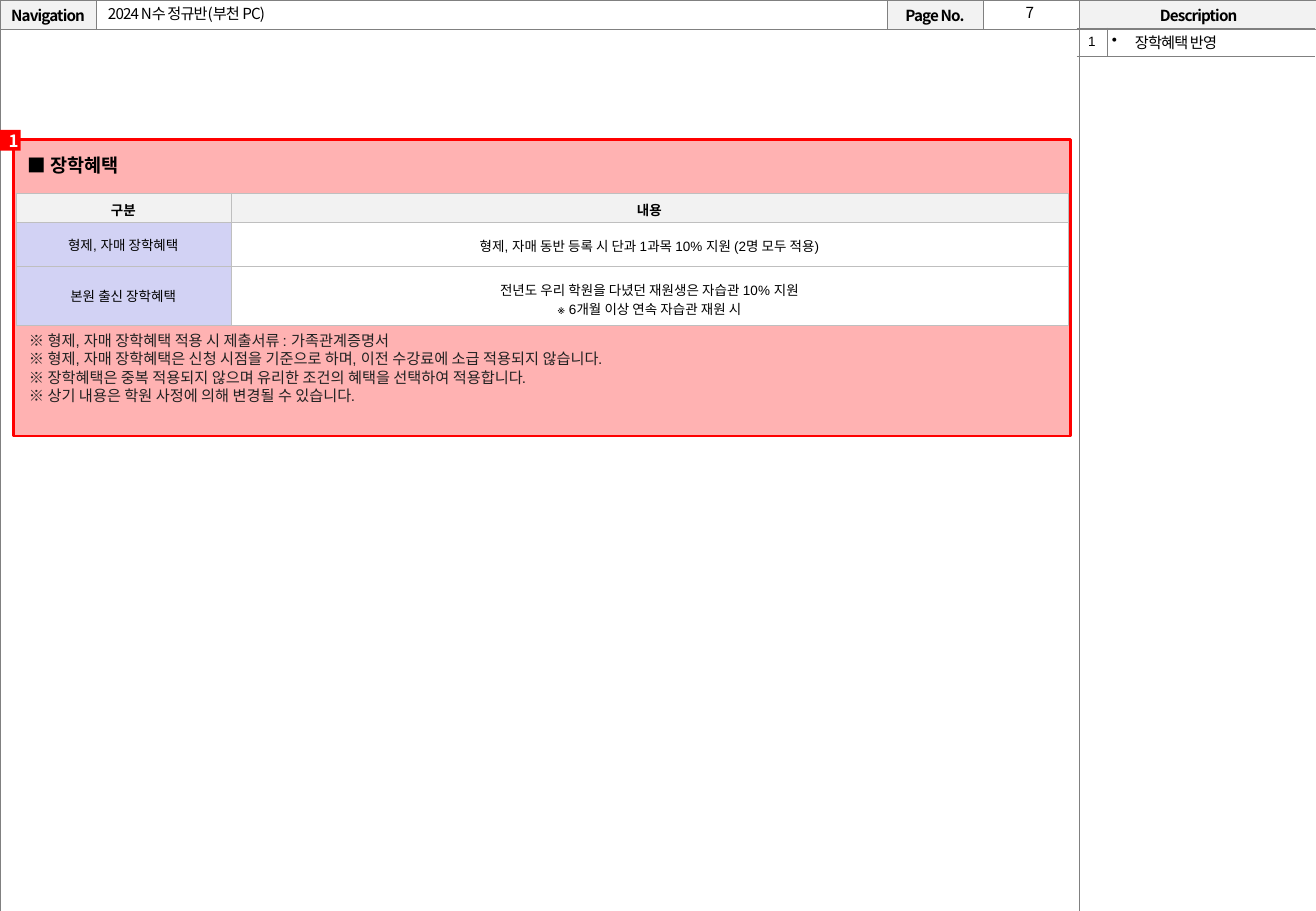
from lxml import etree
from pptx import Presentation
from pptx import util as u
from pptx.dml import color
from pptx.enum import shapes, text
from pptx.oxml import ns

CJK = "Noto Sans CJK KR"
GRAY, PALE, WHITE, RED = "808080", "F2F2F2", "FFFFFF", "FF0000"
CENTER = text.PP_ALIGN.CENTER
MIDDLE, TOP = text.MSO_ANCHOR.MIDDLE, text.MSO_ANCHOR.TOP
STANDARD = (0.1, 0.05, 0.1, 0.05)


def rgb(value):
    return color.RGBColor.from_string(value)


def add_element(parent, tag, **attributes):
    return etree.SubElement(parent, ns.qn(tag), **attributes)


def write(frame, content, size=9, font="Arial", ink="000000", bold=False, align=None,
          tracking=0, line_spacing=None, bullet=None):
    for index, line in enumerate(content.split("\n")):
        paragraph = frame.add_paragraph() if index else frame.paragraphs[0]
        paragraph.alignment = align
        if line_spacing:
            paragraph.line_spacing = line_spacing
        if bullet:
            properties = paragraph._p.get_or_add_pPr()
            properties.set("marL", str(u.Inches(0.19)))
            properties.set("indent", str(u.Inches(-0.19)))
            add_element(properties, "a:buChar", char=bullet)
        if not line:
            add_element(paragraph._p, "a:endParaRPr", sz=str(size * 100))
            continue
        run = paragraph.add_run()
        run.text = line
        run.font.size = u.Pt(size)
        run.font.name = font
        run.font.bold = bold
        run.font.color.rgb = rgb(ink)
        run_properties = run._r.get_or_add_rPr()
        add_element(run_properties, "a:ea", typeface=CJK)
        if tracking:
            run_properties.set("spc", str(int(tracking * 100)))


def set_margins(target, margins):
    (target.margin_left, target.margin_top,
     target.margin_right, target.margin_bottom) = map(u.Inches, margins)


def add_text(slide, box, content, anchor=TOP, **style):
    frame = slide.shapes.add_textbox(*map(u.Inches, box)).text_frame
    frame.word_wrap = True
    frame.vertical_anchor = anchor
    set_margins(frame, STANDARD)
    write(frame, content, **style)


def add_rectangle(slide, box, fill):
    shape = slide.shapes.add_shape(shapes.MSO_SHAPE.RECTANGLE, *map(u.Inches, box))
    shape.shadow.inherit = False
    shape.fill.solid()
    shape.fill.fore_color.rgb = rgb(fill)
    shape.line.fill.background()
    return shape


def add_grid(slide, left, top, widths, heights):
    box = (left, top, sum(widths), sum(heights))
    table = slide.shapes.add_table(len(heights), len(widths), *map(u.Inches, box)).table
    table.first_row = table.horz_banding = False
    for column, width in zip(table.columns, widths):
        column.width = u.Inches(width)
    for row, height in zip(table.rows, heights):
        row.height = u.Inches(height)
    return table


def fill_cell(cell, content, border, fill=None, sides="LRTB", margins=STANDARD, **style):
    set_margins(cell, margins)
    cell.vertical_anchor = MIDDLE
    properties = cell._tc.get_or_add_tcPr()
    for side in "LRTB":
        line = add_element(properties, "a:ln" + side, w=str(u.Pt(0.25)))
        if side in sides:
            add_element(add_element(line, "a:solidFill"), "a:srgbClr", val=border)
        else:
            add_element(line, "a:noFill")
    if fill:
        cell.fill.solid()
        cell.fill.fore_color.rgb = rgb(fill)
    else:
        cell.fill.background()
    write(cell.text_frame, content, **style)


def add_page_frame(slide, left, top, title, number):
    widths = (0.79, 6.51, 0.79, 0.79, 1.97)
    table = add_grid(slide, left, top, widths, (0.24, 7.27))
    table.cell(1, 0).merge(table.cell(1, 3))
    rows = (("Navigation", "", "Page No.", "", "Description"), ("",) * 5)
    for row, labels in enumerate(rows):
        for column, label in enumerate(labels):
            fill_cell(table.cell(row, column), label, GRAY, PALE if label else WHITE,
                      margins=(0, 0, 0, 0), font=CJK, bold=True, align=CENTER, tracking=-0.5)
    add_text(slide, (left + 8.09, top - 0.02, 0.77, 0.25), number,
             font=CJK, align=CENTER, tracking=-0.5)
    add_text(slide, (left + 0.79, top, 6.52, 0.23), title,
             anchor=MIDDLE, font=CJK, tracking=-0.5)


def add_description(slide, left, top, number, note):
    table = add_grid(slide, left, top, (0.25, 1.71), (0.23,))
    margins = (0.04,) * 4
    fill_cell(table.cell(0, 0), number, GRAY, sides="RTB", margins=margins, size=8,
              align=CENTER, tracking=-1, line_spacing=0.9)
    fill_cell(table.cell(0, 1), note, GRAY, sides="LTB", margins=margins,
              tracking=-0.5, line_spacing=0.9, bullet="•")


def add_highlight(slide, left, top, width, height):
    frame = add_rectangle(slide, (left, top, width, height), RED)
    frame.line.color.rgb = rgb(RED)
    frame.line.width = u.Pt(1.5)
    tint = frame.fill._xPr.find(ns.qn("a:solidFill"))[0]
    add_element(tint, "a:alpha", val="30000")


def add_marker(slide, left, top, number):
    frame = add_rectangle(slide, (left, top, 0.17, 0.17), RED).text_frame
    frame.vertical_anchor = MIDDLE
    write(frame, number, size=10, font=CJK, ink=WHITE, bold=True, align=CENTER)


def add_benefits(slide, left, top, width, height):
    add_highlight(slide, left, top, width, height)
    add_marker(slide, left - 0.11, top - 0.08, "1")
    add_text(slide, (left + 0.02, top + 0.07, 2.93, 0.29), "■ 장학혜택", size=11, bold=True)
    rows = (
        ("구분", "내용"),
        ("형제, 자매 장학혜택", "형제, 자매 동반 등록 시 단과 1과목 10% 지원 (2명 모두 적용)"),
        ("본원 출신 장학혜택",
         "전년도 우리 학원을 다녔던 재원생은 자습관 10% 지원\n※ 6개월 이상 연속 자습관 재원 시"),
    )
    table = add_grid(slide, left + 0.02, top + 0.44, (1.77, 6.89), (0.24, 0.36, 0.49))
    for row, contents in enumerate(rows):
        for column, content in enumerate(contents):
            fill = ("D2D2F4", WHITE)[column] if row else PALE
            margins = (0.21, 0.11, 0.21, 0.11) if row and column else STANDARD
            fill_cell(table.cell(row, column), content, "BFBFBF", fill, margins=margins,
                      size=8, bold=row == 0, align=CENTER)
    notes = (
        "※ 형제, 자매 장학혜택 적용 시 제출서류 : 가족관계증명서",
        "※ 형제, 자매 장학혜택은 신청 시점을 기준으로 하며, 이전 수강료에 소급 적용되지 않습니다.",
        "※ 장학혜택은 중복 적용되지 않으며 유리한 조건의 혜택을 선택하여 적용합니다.",
        "※ 상기 내용은 학원 사정에 의해 변경될 수 있습니다.",
    )
    add_text(slide, (left + 0.03, top + 1.53, 5.42, 0.71), "\n".join(notes), ink="222222")


def main():
    presentation = Presentation()
    presentation.slide_width = u.Inches(10.83)
    presentation.slide_height = u.Inches(7.5)
    slide = presentation.slides.add_slide(presentation.slide_layouts[6])
    add_page_frame(slide, 0, 0, "2024 N수 정규반(부천 PC)", "7")
    add_description(slide, 8.86, 0.23, "1", "장학혜택 반영")
    add_benefits(slide, 0.11, 1.15, 8.7, 2.44)
    presentation.save("out.pptx")


if __name__ == "__main__":
    main()
